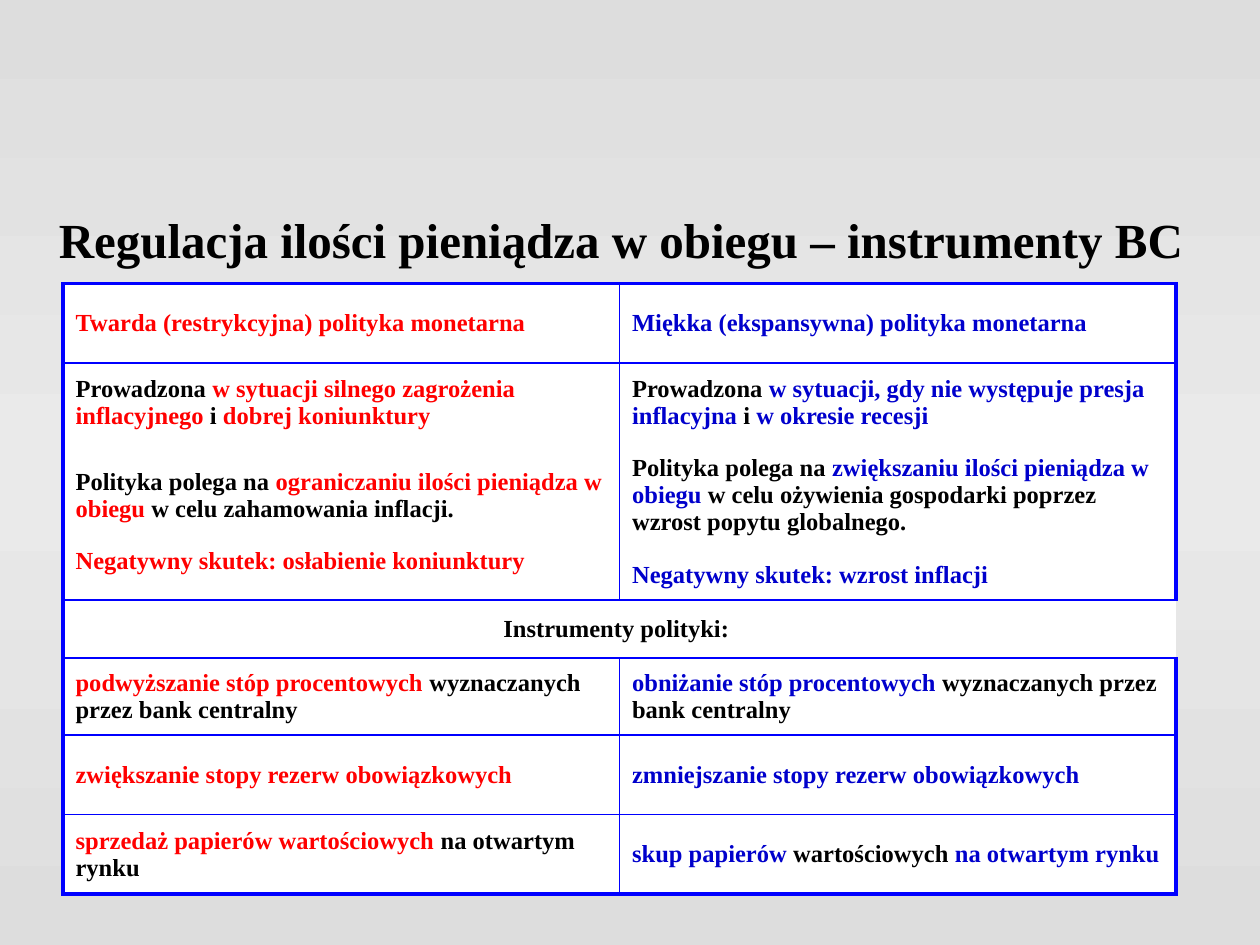
from copy import deepcopy
from dataclasses import dataclass

from lxml import etree
from pptx import Presentation
from pptx.dml.color import RGBColor
from pptx.enum.text import MSO_ANCHOR, PP_ALIGN
from pptx.oxml.ns import qn
from pptx.util import Pt

LEFT, CENTER = PP_ALIGN.LEFT, PP_ALIGN.CENTER
MIDDLE = MSO_ANCHOR.MIDDLE


@dataclass(frozen=True)
class Theme:
    font: str = "Times New Roman"
    title: float = 28
    body: float = 14
    black: str = "000000"
    red: str = "FF0000"
    blue: str = "0000CC"
    line: str = "0000FF"
    white: str = "FFFFFF"
    edge: str = "DDDDDD"
    mid: str = "EAEAEA"
    thick: float = 2.21
    thin: float = 1.08
    lead: float = 3.5
    gap: float = 14.5


T = Theme()


@dataclass(frozen=True)
class Run:
    text: str
    color: str = T.black


@dataclass(frozen=True)
class Row:
    """One table row; each cell is a list of paragraphs, each a list of runs."""
    height: float
    cells: list
    top: bool = True


def red(text: str) -> Run:
    return Run(text, T.red)


def blue(text: str) -> Run:
    return Run(text, T.blue)


ROWS = [
    Row(45.5, [[[red("Twarda (restrykcyjna) polityka monetarna")]],
               [[blue("Miękka (ekspansywna) polityka monetarna")]]]),
    Row(45.5, [[[Run("Prowadzona "), red("w sytuacji silnego zagrożenia inflacyjnego"),
                 Run(" i "), red("dobrej koniunktury")]],
               [[Run("Prowadzona "), blue("w sytuacji, gdy nie występuje presja inflacyjna "),
                 Run("i "), blue("w okresie recesji")]]]),
    Row(90, [[[Run("Polityka polega na "), red("ograniczaniu ilości pieniądza w obiegu"),
               Run(" w celu zahamowania inflacji.")],
              [red("Negatywny skutek: osłabienie koniunktury")]],
             [[Run("Polityka polega na "), blue("zwiększaniu ilości pieniądza w obiegu"),
               Run(" w celu ożywienia gospodarki poprzez wzrost popytu globalnego.")],
              [blue("Negatywny skutek: wzrost inflacji")]]], top=False),
    Row(33, [[[Run("Instrumenty polityki: ")]]]),
    Row(44, [[[red("podwyższanie stóp procentowych"),
               Run(" wyznaczanych przez bank centralny")]],
             [[blue("obniżanie stóp procentowych"),
               Run(" wyznaczanych przez bank centralny")]]]),
    Row(45.5, [[[red("zwiększanie stopy rezerw obowiązkowych")]],
               [[blue("zmniejszanie stopy rezerw obowiązkowych")]]]),
    Row(45.5, [[[red("sprzedaż papierów wartościowych"), Run(" na otwartym rynku")]],
               [[blue("skup papierów"), Run(" wartościowych "),
                 blue("na otwartym rynku")]]]),
]


def write(frame, paras: list, *, size: float = T.body, align=LEFT,
          lead: float = T.lead, gap: float = T.gap) -> None:
    frame.word_wrap = True
    for i, runs in enumerate(paras):
        para = frame.add_paragraph() if i else frame.paragraphs[0]
        para.alignment = align
        para.space_before = Pt(gap if i else lead)
        for part in runs:
            run = para.add_run()
            run.text = part.text
            run.font.name = T.font
            run.font.size = Pt(size)
            run.font.bold = True
            run.font.color.rgb = RGBColor.from_string(part.color)


def rule(cell, side: str, width: float) -> None:
    """Draw one cell border; a width of zero hides it."""
    props = cell._tc.get_or_add_tcPr()
    line = etree.SubElement(props, qn("a:ln" + side), w=str(int(Pt(width))))
    if width:
        fill = etree.SubElement(line, qn("a:solidFill"))
        etree.SubElement(fill, qn("a:srgbClr"), val=T.line)
    else:
        etree.SubElement(line, qn("a:noFill"))


def style(cell, row: int, col: int) -> None:
    last = len(ROWS) - 1
    below = row == last or ROWS[row + 1].top
    whole = len(ROWS[row].cells) == 1
    rule(cell, "L", T.thick if col == 0 else 0 if whole else T.thin)
    rule(cell, "R", T.thick if col == 1 else 0 if whole else T.thin)
    rule(cell, "T", T.thick if row == 0 else T.thin if ROWS[row].top else 0)
    rule(cell, "B", T.thick if row == last else T.thin if below else 0)
    cell.fill.solid()
    cell.fill.fore_color.rgb = RGBColor.from_string(T.white)
    cell.vertical_anchor = MIDDLE


def paint(slide) -> None:
    """Fill the background with a vertical gradient of three stops."""
    fill = slide.background.fill
    fill.gradient()
    fill.gradient_angle = 90
    stops = slide._element.find(".//" + qn("a:gsLst"))
    stops.insert(1, deepcopy(stops[0]))
    for stop, place, color in zip(fill.gradient_stops, (0, 0.5, 1),
                                  (T.edge, T.mid, T.edge)):
        stop.position = place
        stop.color.rgb = RGBColor.from_string(color)


def grid(slide) -> None:
    height = sum(row.height for row in ROWS)
    table = slide.shapes.add_table(len(ROWS), 2, Pt(36), Pt(162),
                                   Pt(636), Pt(height)).table
    table.first_row = table.horz_banding = False
    for r, row in enumerate(ROWS):
        table.rows[r].height = Pt(row.height)
        for c in range(2):
            style(table.cell(r, c), r, c)
        whole = len(row.cells) == 1
        if whole:
            table.cell(r, 0).merge(table.cell(r, 1))
        for c, paras in enumerate(row.cells):
            write(table.cell(r, c).text_frame, paras,
                  align=CENTER if whole else LEFT)


def main() -> None:
    deck = Presentation()
    deck.slide_width, deck.slide_height = Pt(720), Pt(540)
    slide = deck.slides.add_slide(deck.slide_layouts[6])
    paint(slide)
    box = slide.shapes.add_textbox(Pt(14.5), Pt(116.5), Pt(680.5), Pt(39.5))
    box.text_frame.vertical_anchor = MIDDLE
    write(box.text_frame, [[Run("Regulacja ilości pieniądza w obiegu – instrumenty BC")]],
          size=T.title, align=CENTER, lead=0)
    grid(slide)
    deck.save("out.pptx")


if __name__ == "__main__":
    main()
